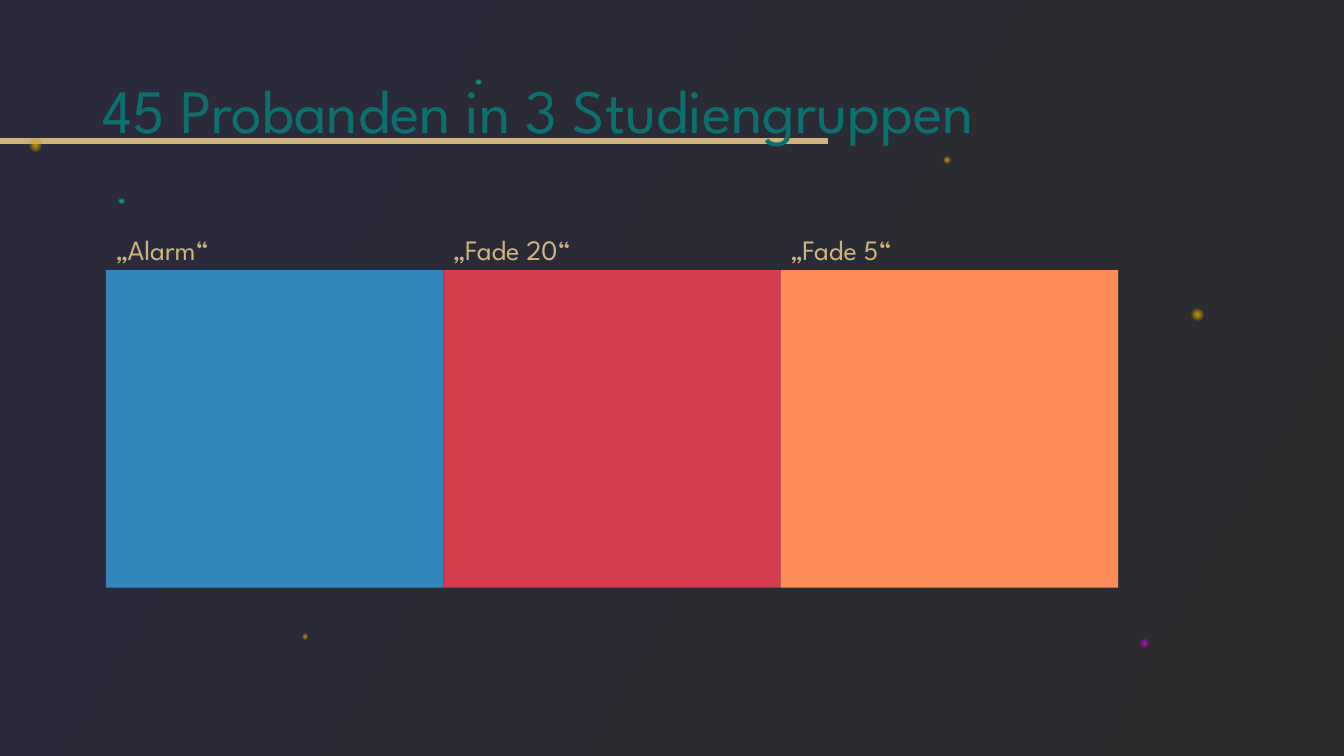
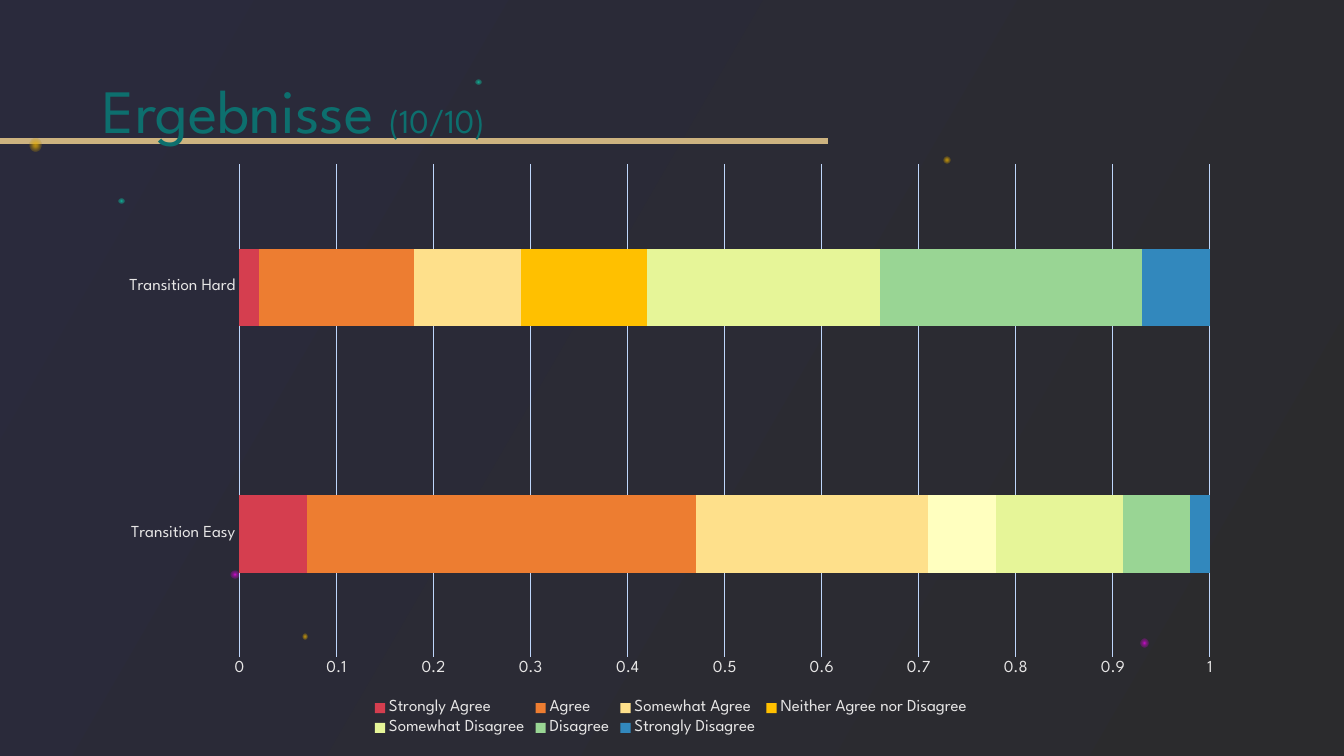
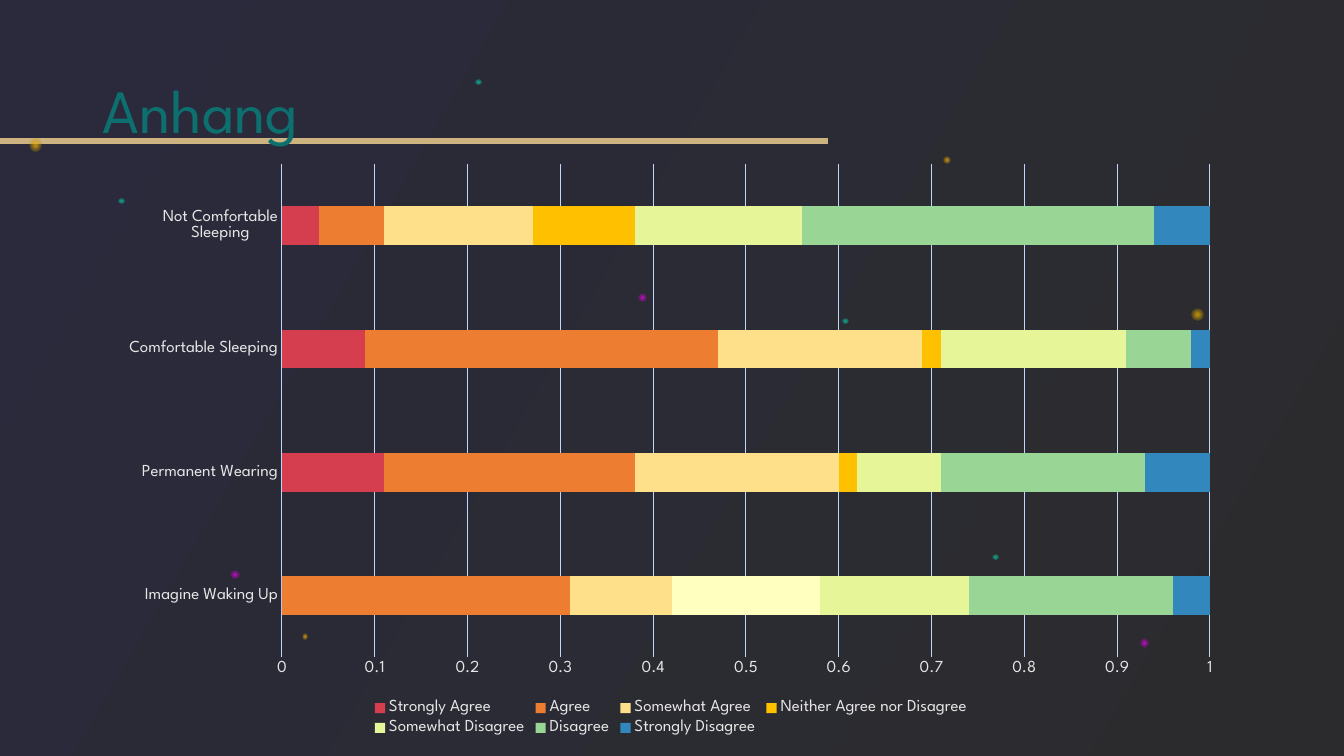
from pptx import Presentation
from pptx.chart.data import CategoryChartData
from pptx.dml.color import RGBColor
from pptx.enum.chart import XL_CHART_TYPE, XL_LEGEND_POSITION, XL_TICK_MARK
from pptx.enum.shapes import MSO_CONNECTOR, MSO_SHAPE
from pptx.enum.text import MSO_ANCHOR, PP_ALIGN
from pptx.oxml import parse_xml
from pptx.oxml.ns import nsdecls
from pptx.util import Inches, Pt

FONT = "League Spartan"
NIGHT = RGBColor(0x2A, 0x2A, 0x3C)
COAL = RGBColor(0x2B, 0x2B, 0x2D)
TEAL = RGBColor(0x0D, 0x6F, 0x6E)
SAND = RGBColor(0xCD, 0xB3, 0x80)
PALE = RGBColor(0xE7, 0xE6, 0xE6)
NAVY = RGBColor(0x03, 0x16, 0x34)
GRID = RGBColor(0xBE, 0xD6, 0xFB)
BLUE = RGBColor(0x32, 0x88, 0xBD)
RED = RGBColor(0xD5, 0x3E, 0x4F)
CORAL = RGBColor(0xFC, 0x8D, 0x59)
ORANGE = RGBColor(0xED, 0x7D, 0x31)
CREAM = RGBColor(0xFE, 0xE0, 0x8B)
AMBER = RGBColor(0xFF, 0xC0, 0x00)
IVORY = RGBColor(0xFF, 0xFF, 0xBF)
LIME = RGBColor(0xE6, 0xF5, 0x98)
GREEN = RGBColor(0x99, 0xD5, 0x94)

SCALE = [
    ("Strongly Agree", RED),
    ("Agree", ORANGE),
    ("Somewhat Agree", CREAM),
    ("Neither Agree nor Disagree", AMBER),
    ("Somewhat Disagree", LIME),
    ("Disagree", GREEN),
    ("Strongly Disagree", BLUE),
]
GOLD_GLOW = [(0, "E3AB00", 79), (23, "E3AB00", 64), (69, "BF9000", 19), (100, "B28600", 0)]
PINK_GLOW = [(0, "FF00FF", 83), (23, "FF00FF", 46), (69, "D100D1", 20), (100, "940094", 0)]
MINT_GLOW = [(0, "00FFCC", 77), (23, "00FFCC", 44), (70, "00FFCC", 19), (100, "00FFCC", 0)]
DOTS = [
    (0.29, 1.38, 0.12, GOLD_GLOW),
    (11.82, 3.06, 0.12, GOLD_GLOW),
    (3, 6.29, 0.05, GOLD_GLOW),
    (9.36, 1.55, 0.07, GOLD_GLOW),
    (11.31, 6.34, 0.08, PINK_GLOW),
    (1.18, 1.97, 0.05, MINT_GLOW),
    (4.72, 0.79, 0.05, MINT_GLOW),
]
LOW_DOT = (2.29, 5.66, 0.08, PINK_GLOW)
MID_DOTS = [
    (6.33, 2.91, 0.08, PINK_GLOW),
    (9.85, 5.5, 0.05, MINT_GLOW),
    (8.36, 3.16, 0.05, MINT_GLOW),
]
GROUPS = [("„Alarm“", BLUE), ("„Fade 20“", RED), ("„Fade 5“", CORAL)]
RESULTS = {
    "Transition Easy": [0.07, 0.4, 0.24, 0.07, 0.13, 0.07, 0.02],
    "Transition Hard": [0.02, 0.16, 0.11, 0.13, 0.24, 0.27, 0.07],
}
EXTRAS = {
    "Imagine Waking Up": [0, 0.31, 0.11, 0.16, 0.16, 0.22, 0.04],
    "Permanent Wearing": [0.11, 0.27, 0.22, 0.02, 0.09, 0.22, 0.07],
    "Comfortable Sleeping": [0.09, 0.38, 0.22, 0.02, 0.2, 0.07, 0.02],
    "Not Comfortable Sleeping": [0.04, 0.07, 0.16, 0.11, 0.18, 0.38, 0.07],
}


def style(font, size, color, name=FONT):
    """Set the face, size and colour of a font."""
    font.name, font.size = name, Pt(size)
    font.color.rgb = color


def put(frame, *runs, color, space, before=0, anchor=MSO_ANCHOR.TOP):
    """Write (text, size) runs into a frame as one left-aligned paragraph."""
    frame.word_wrap = True
    frame.vertical_anchor = anchor
    para = frame.paragraphs[0]
    para.alignment = PP_ALIGN.LEFT
    para.line_spacing, para.space_before = space, Pt(before)
    for text, size in runs:
        run = para.add_run()
        run.text = text
        style(run.font, size, color)


def block(slide, kind, left, top, width, height):
    """Add a shape without outline or shadow."""
    shape = slide.shapes.add_shape(kind, Inches(left), Inches(top), Inches(width), Inches(height))
    shape.shadow.inherit = False
    shape.line.fill.background()
    return shape


def dot(slide, left, top, size, glow):
    """Add a round dot that fades out towards its rim."""
    shape = block(slide, MSO_SHAPE.OVAL, left, top, size, size)
    stops = "".join(
        f'<a:gs pos="{pos * 1000}"><a:srgbClr val="{color}">'
        f'<a:alpha val="{alpha * 1000}"/></a:srgbClr></a:gs>'
        for pos, color, alpha in glow
    )
    fill = parse_xml(
        f'<a:gradFill {nsdecls("a")} rotWithShape="1"><a:gsLst>{stops}</a:gsLst><a:path path="circle">'
        '<a:fillToRect l="50000" t="50000" r="50000" b="50000"/></a:path></a:gradFill>'
    )
    shape.element.spPr.insert(2, fill)
    return shape


def rule(slide):
    """Add the sand line under the title."""
    line = slide.shapes.add_connector(MSO_CONNECTOR.STRAIGHT, 0, Inches(1.4), Inches(8.21), Inches(1.4))
    line.line.color.rgb = SAND
    line.line.width = Pt(4.5)
    line.element.spPr.append(parse_xml(f'<a:effectLst {nsdecls("a")}/>'))
    return line


def dress(deck, layout, slide):
    """Set the shared background and move the line and dots to the layout."""
    fill = deck.slide_master.background.fill
    fill.gradient()
    fill.gradient_angle = 330
    for stop, color in zip(fill.gradient_stops, (NIGHT, COAL)):
        stop.color.rgb = color
    for holder in list(layout.placeholders):
        if holder.placeholder_format.idx > 0:
            layout.shapes.element.remove(holder.element)
    parts = [rule(slide)] + [dot(slide, *spot) for spot in DOTS]
    for num, part in enumerate(parts, 20):
        part.element.xpath(".//p:cNvPr")[0].set("id", str(num))
        layout.shapes.element.append(part.element)


def title(slide, *runs):
    """Place and fill the title."""
    shape = slide.shapes.title
    shape.left, shape.top = Inches(0.92), Inches(0.4)
    shape.width, shape.height = Inches(11.5), Inches(1.45)
    put(shape.text_frame, *runs, color=TEAL, space=0.9, anchor=MSO_ANCHOR.MIDDLE)


def groups(slide):
    """Add the coloured study groups with their labels."""
    width = 10.04 / len(GROUPS)
    for num, (name, color) in enumerate(GROUPS):
        left = 1.05 + num * width
        shape = block(slide, MSO_SHAPE.RECTANGLE, left, 2.68, width, 3.15)
        paint(shape.fill, color)
        label = slide.shapes.add_textbox(Inches(left), Inches(2.32), Inches(2.69), Inches(0.39))
        put(label.text_frame, (name, 20), color=SAND, space=0.8, before=10)


def paint(fill, color):
    """Make a fill solid."""
    fill.solid()
    fill.fore_color.rgb = color


def bars(slide, rows, dots):
    """Add a stacked bar chart of the answers over some dots."""
    for spot in dots:
        dot(slide, *spot)
    data = CategoryChartData()
    data.categories = list(rows)
    for (name, _), vals in zip(SCALE, zip(*rows.values())):
        data.add_series(name, vals)
    chart = slide.shapes.add_chart(
        XL_CHART_TYPE.BAR_STACKED, Inches(1.06), Inches(1.51), Inches(11.19), Inches(5.83), data
    ).chart
    style(chart.font, 10, NAVY, "Calibri")
    chart.has_title = False
    chart.has_legend = True
    chart.legend.position = XL_LEGEND_POSITION.BOTTOM
    chart.legend.include_in_layout = False
    style(chart.legend.font, 12, PALE)
    plot = chart.plots[0]
    plot.gap_width, plot.overlap, plot.vary_by_categories = 219, 100, False
    for series, (_, color) in zip(plot.series, SCALE):
        paint(series.format.fill, color)
    paint(plot.series[3].points[0].format.fill, IVORY)
    cats, vals = chart.category_axis, chart.value_axis
    for axis in (cats, vals):
        axis.major_tick_mark = axis.minor_tick_mark = XL_TICK_MARK.NONE
        style(axis.tick_labels.font, 12, PALE)
    vals.minimum_scale, vals.maximum_scale, vals.major_unit = 0, 1, 0.1
    vals.tick_labels.number_format = "General"
    vals.tick_labels.number_format_is_linked = False
    vals.format.line.fill.background()
    vals.has_major_gridlines = True
    for line in (cats.format.line, vals.major_gridlines.format.line):
        line.color.rgb = GRID
        line.width = Pt(0.75)


def main():
    """Build and save the deck."""
    deck = Presentation()
    deck.slide_width, deck.slide_height = Inches(13.33), Inches(7.5)
    layout = deck.slide_layouts[5]
    study, result, extra = [deck.slides.add_slide(layout) for _ in range(3)]
    dress(deck, layout, study)
    title(study, ("45 Probanden in 3 Studiengruppen", 44))
    groups(study)
    title(result, ("Ergebnisse ", 44), ("(10/10)", 24))
    bars(result, RESULTS, [LOW_DOT])
    title(extra, ("Anhang", 44))
    bars(extra, EXTRAS, [LOW_DOT, *MID_DOTS])
    deck.save("out.pptx")


if __name__ == "__main__":
    main()
